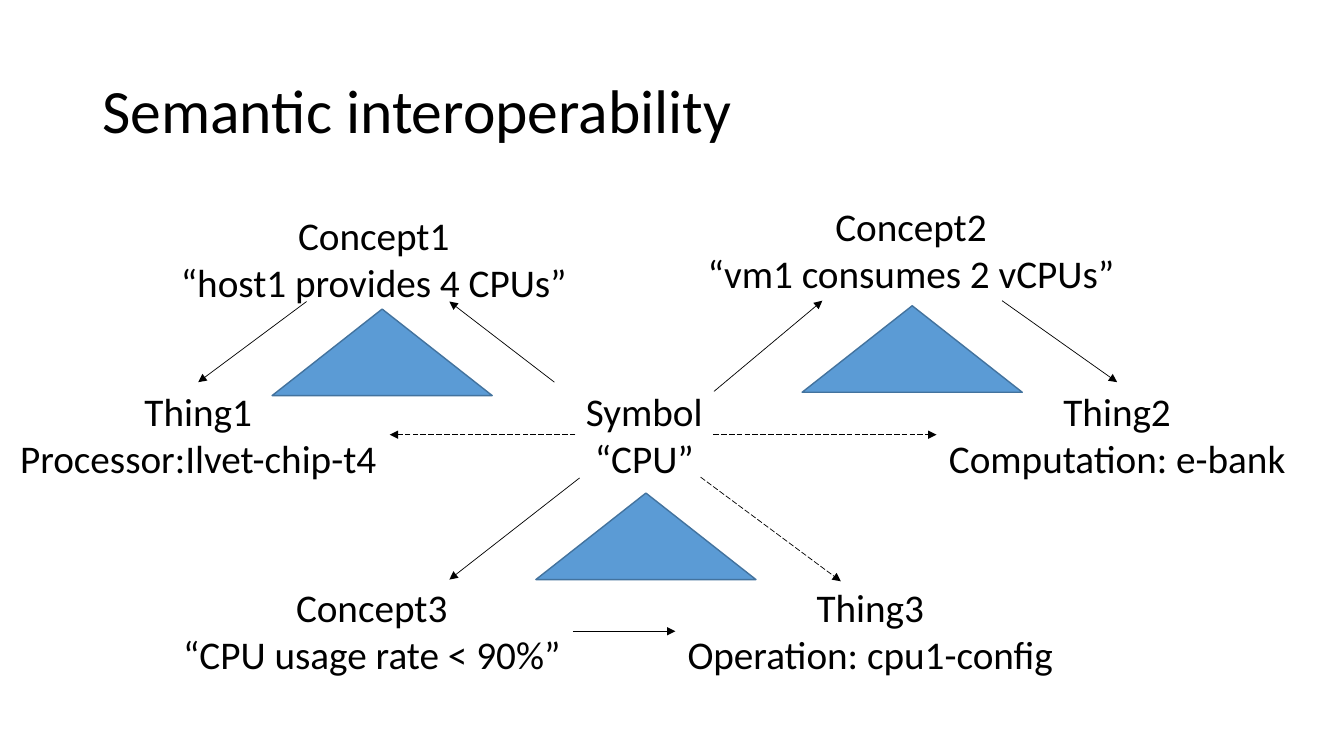
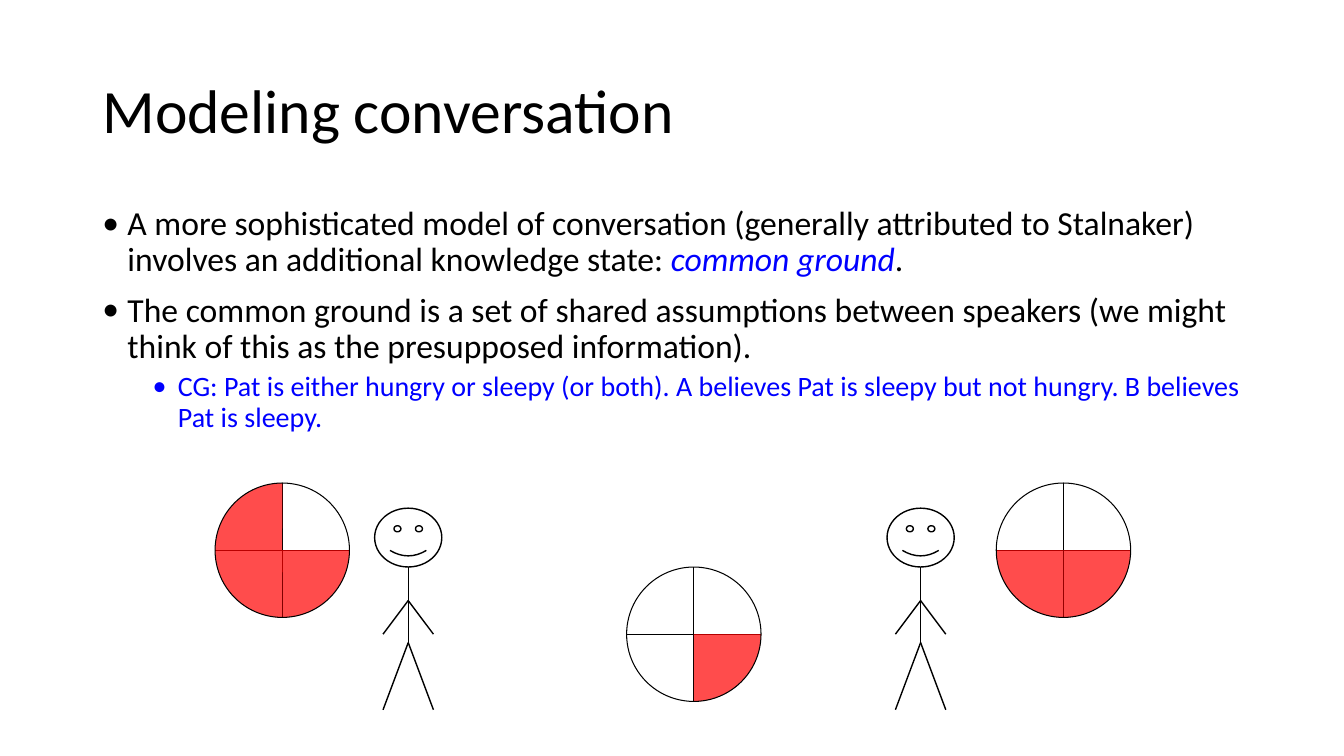
from dataclasses import dataclass
from typing import Optional

from lxml.etree import SubElement
from pptx import Presentation
from pptx.dml.color import RGBColor
from pptx.enum.dml import MSO_LINE
from pptx.enum.shapes import MSO_CONNECTOR, MSO_SHAPE
from pptx.enum.text import MSO_ANCHOR, MSO_AUTO_SIZE, PP_ALIGN
from pptx.oxml.ns import qn
from pptx.util import Inches, Pt

COLS, ROWS = 160, 90  # square grid cells, twelve to the inch
CELL = Inches(1) / 12
FONT = "Calibri"
COLORS = {"ink": "000000", "accent": "0000FF", "wedge": "FF0000",
          "triangle": "5B9BD5", "triangle_edge": "43739E"}

LABEL_H = 12.5
TRIANGLE_W, TRIANGLE_H = 26.2, 10.3
DIAL = 16
LEFT, RIGHT = 1, 3  # connection sites


@dataclass
class Label:
    left: float
    top: float
    width: float
    heading: str
    detail: str


@dataclass
class Arrow:
    start: tuple[float, float]
    end: tuple[float, float]
    dashed: bool = False


@dataclass
class Link:
    """Level arrow from the side of one label to the side of another."""
    source: str
    target: str
    dashed: bool = False


@dataclass
class Run:
    text: str
    color: str = "ink"
    italic: bool = False


@dataclass
class Bullet:
    runs: list[Run]
    level: int = 0


@dataclass
class Dial:
    left: float
    top: float
    wedges: list[int]  # start angles, clockwise from the right


LABELS = [
    Label(68.5, 45.5, 16.4, "Symbol", "“CPU”"),
    Label(20, 24.6, 49, "Concept1", "“host1 provides 4 CPUs”"),
    Label(0.8, 45.5, 45.6, "Thing1", "Processor:Ilvet-chip-t4"),
    Label(111.5, 45.5, 43, "Thing2", "Computation: e-bank"),
    Label(80.4, 68.9, 46.4, "Thing3", "Operation: cpu1-config"),
    Label(82.7, 23.5, 51.5, "Concept2", "“vm1 consumes 2 vCPUs”"),
    Label(20.3, 68.9, 47.9, "Concept3", "“CPU usage rate < 90%”"),
]
TRIANGLES = [(63.8, 58.7), (32.4, 36.8), (95.5, 36.4)]
ARROWS = [
    Arrow((66, 45.5), (53.5, 35.9)),
    Arrow((36.5, 35.9), (23.6, 45.5)),
    Arrow((85, 46.6), (97.9, 35.8)),
    Arrow((119.3, 35.8), (133, 45.5)),
    Arrow((69, 56.9), (53.5, 69)),
    Arrow((83.4, 56.8), (100.1, 69.2), dashed=True),
]
LINKS = [Link("Symbol", "Thing1", True), Link("Symbol", "Thing2", True),
         Link("Concept3", "Thing3")]
BULLETS = [
    Bullet([Run("A more sophisticated model of conversation (generally attributed "
                "to Stalnaker) involves an additional knowledge state: "),
            Run("common ground", "accent", True), Run(".")]),
    Bullet([Run("The common ground is a set of shared assumptions between speakers "
                "(we might think of this as the presupposed information).")]),
    Bullet([Run("CG: Pat is either hungry or sleepy (or both). A believes Pat is "
                "sleepy but not hungry. B believes Pat is sleepy.", "accent")], 1),
]
DIALS = [Dial(25.6, 57.5, [0, 90, 180]), Dial(118.6, 57.5, [0, 90]),
         Dial(74.6, 67.5, [0])]
FIGURE_CENTERS = [48.6, 109.6]
FIGURE_TOP = 60.5


def cells(*values: float) -> list[int]:
    return [round(v * CELL) for v in values]


def rgb(name: str) -> RGBColor:
    return RGBColor.from_string(COLORS[name])


def add_run(p, text: str, size: float, color: str = "ink", italic: bool = False) -> None:
    r = p.add_run()
    r.text = text
    r.font.name, r.font.size, r.font.italic = FONT, Pt(size), italic
    r.font.color.rgb = rgb(color)


def add_slide(prs, title: str):
    s = prs.slides.add_slide(prs.slide_layouts[5])
    sp = s.shapes.title
    sp.left, sp.top, sp.width, sp.height = cells(11, 4.8, 138, 17.4)
    tf = sp.text_frame
    tf.word_wrap, tf.auto_size = True, MSO_AUTO_SIZE.NONE
    tf.vertical_anchor = MSO_ANCHOR.MIDDLE
    p = tf.paragraphs[0]
    p.alignment, p.line_spacing = PP_ALIGN.LEFT, 0.9
    add_run(p, title, 44)
    return s


def add_shape(shapes, kind, left: float, top: float, width: float, height: float,
              fill: Optional[str] = None, line: Optional[str] = None, weight: float = 1):
    sp = shapes.add_shape(kind, *cells(left, top, width, height))
    sp.shadow.inherit = False
    if fill:
        sp.fill.solid()
        sp.fill.fore_color.rgb = rgb(fill)
    else:
        sp.fill.background()
    if line:
        sp.line.color.rgb = rgb(line)
        sp.line.width = Pt(weight)
    else:
        sp.line.fill.background()
    return sp


def add_line(shapes, start: tuple[float, float], end: tuple[float, float], weight: float):
    c = shapes.add_connector(MSO_CONNECTOR.STRAIGHT, *cells(*start, *end))
    c.line.color.rgb = rgb("ink")
    c.line.width = Pt(weight)
    SubElement(c._element.spPr, qn("a:effectLst"))
    return c


def add_arrow(shapes, arrow: Arrow):
    c = add_line(shapes, arrow.start, arrow.end, 0.5)
    if arrow.dashed:
        c.line.dash_style = MSO_LINE.LONG_DASH
    SubElement(c.line._get_or_add_ln(), qn("a:tailEnd"), type="triangle")
    return c


def add_label(shapes, label: Label):
    sp = shapes.add_textbox(*cells(label.left, label.top, label.width, LABEL_H))
    tf = sp.text_frame
    tf.word_wrap, tf.auto_size = False, MSO_AUTO_SIZE.SHAPE_TO_FIT_TEXT
    for p, text in zip((tf.paragraphs[0], tf.add_paragraph()),
                       (label.heading, label.detail)):
        p.alignment = PP_ALIGN.CENTER
        add_run(p, text, 28)
    return sp


def add_link(shapes, link: Link, boxes: dict) -> None:
    source, target = boxes[link.source], boxes[link.target]
    rightward = source.left < target.left
    c = add_arrow(shapes, Arrow((0, 0), (1, 1), link.dashed))
    c.begin_connect(source, RIGHT if rightward else LEFT)
    c.end_connect(target, LEFT if rightward else RIGHT)


def add_bullets(shapes, bullets: list[Bullet]) -> None:
    tf = shapes.add_textbox(*cells(11, 24, 138, 57)).text_frame
    tf.word_wrap = True
    for i, bullet in enumerate(bullets):
        p = tf.add_paragraph() if i else tf.paragraphs[0]
        p.level = bullet.level
        pPr = p._p.get_or_add_pPr()
        pPr.set("marL", str(Inches(0.25 + 0.5 * bullet.level)))
        pPr.set("indent", str(-Inches(0.25)))
        SubElement(pPr, qn("a:buFont"), typeface=FONT)
        SubElement(pPr, qn("a:buChar"), char="•")
        p.line_spacing = 0.9
        if i:
            p.space_before = Pt(5 if bullet.level else 10)
        for run in bullet.runs:
            add_run(p, run.text, 24 - 4 * bullet.level, run.color, run.italic)


def add_stick_figure(shapes, x: float, top: float) -> None:
    g = shapes.add_group_shape().shapes
    face = add_shape(g, MSO_SHAPE.SMILEY_FACE, x - 4, top, 8, 7, line="ink")
    face.adjustments[0] = 0.047
    neck, shoulder, hip = top + 7, top + 11, top + 16
    add_line(g, (x, neck), (x, hip), 1)
    for side in (-3, 3):
        add_line(g, (x, hip), (x + side, hip + 8), 1)
        add_line(g, (x, shoulder), (x + side, shoulder + 4), 1)


def add_dial(shapes, dial: Dial) -> None:
    """Circle cut in quarters, with some of them tinted."""
    g = shapes.add_group_shape().shapes
    x, y, half = dial.left, dial.top, DIAL / 2
    add_line(g, (x + half, y), (x + half, y + DIAL), 0.75)
    add_line(g, (x, y + half), (x + DIAL, y + half), 0.75)
    for angle in dial.wedges:
        wedge = add_shape(g, MSO_SHAPE.PIE, x, y, DIAL, DIAL, "wedge")
        # Angles are stored in 1/60000 degree, adjustments in 1/100000
        wedge.adjustments[0] = angle * 0.6
        wedge.adjustments[1] = (angle + 90) * 0.6
        color = wedge._element.spPr.find(qn("a:solidFill"))[0]
        SubElement(color, qn("a:alpha"), val="70000")
    add_shape(g, MSO_SHAPE.OVAL, x, y, DIAL, DIAL, line="ink", weight=0.75)


def build_interoperability(prs) -> None:
    shapes = add_slide(prs, "Semantic interoperability").shapes
    for left, top in TRIANGLES:
        add_shape(shapes, MSO_SHAPE.ISOSCELES_TRIANGLE, left, top,
                  TRIANGLE_W, TRIANGLE_H, "triangle", "triangle_edge")
    boxes = {label.heading: add_label(shapes, label) for label in LABELS}
    for arrow in ARROWS:
        add_arrow(shapes, arrow)
    for link in LINKS:
        add_link(shapes, link, boxes)


def build_conversation(prs) -> None:
    shapes = add_slide(prs, "Modeling conversation").shapes
    add_bullets(shapes, BULLETS)
    for x in FIGURE_CENTERS:
        add_stick_figure(shapes, x, FIGURE_TOP)
    for dial in DIALS:
        add_dial(shapes, dial)


def main() -> None:
    prs = Presentation()
    prs.slide_width, prs.slide_height = cells(COLS, ROWS)
    build_interoperability(prs)
    build_conversation(prs)
    prs.save("out.pptx")


if __name__ == "__main__":
    main()
